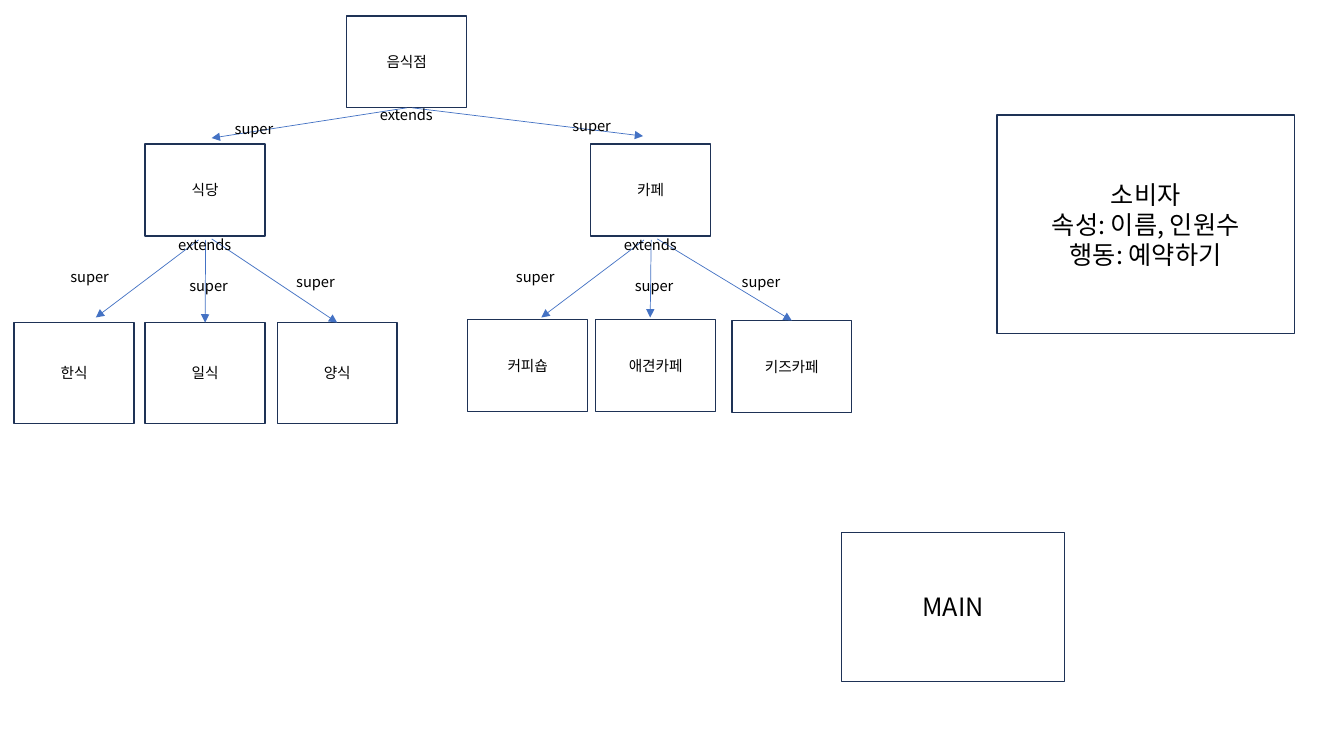
from dataclasses import dataclass
from typing import Optional

from lxml.etree import SubElement
from pptx import Presentation
from pptx.dml.color import RGBColor
from pptx.enum.shapes import MSO_CONNECTOR as Connector, MSO_SHAPE as Preset
from pptx.enum.text import MSO_ANCHOR as Anchor, PP_ALIGN as Align
from pptx.oxml.ns import qn
from pptx.shapes.autoshape import Shape
from pptx.slide import Slide
from pptx.text.text import TextFrame
from pptx.util import Inches, Pt

CELL = Inches(0.1)  # one grid column or row
PAGE_COLUMNS, PAGE_ROWS = 133.33, 75
BOX_COLUMNS, BOX_ROWS = 11.9, 9.1
LABEL_ROWS = 2.3
LABEL_COLUMNS = {"extends": 7.3, "super": 6.2}

FONT = "Noto Sans CJK KR"
SMALL, LARGE = 10.5, 18
BLACK = RGBColor(0x00, 0x00, 0x00)
WHITE = RGBColor(0xFF, 0xFF, 0xFF)
NAVY = RGBColor(0x1E, 0x32, 0x56)
BLUE = RGBColor(0x44, 0x72, 0xC4)
TOP, BOTTOM = 0, 2


@dataclass(frozen=True)
class Box:
    text: str
    column: float
    row: float
    columns: float = BOX_COLUMNS
    rows: float = BOX_ROWS
    size: float = SMALL


@dataclass(frozen=True)
class Arrow:
    """An arrow between grid points, joined to the boxes it names."""
    start: tuple[float, float]
    end: tuple[float, float]
    source: Optional[str] = None
    target: Optional[str] = None


@dataclass(frozen=True)
class Label:
    text: str
    column: float
    row: float


@dataclass(frozen=True)
class Branch:
    """A class whose three arrows lead to its subclasses."""
    parent: Box
    children: tuple[Box, Box, Box]
    tips: tuple[tuple[float, float], ...]
    targets: tuple[Optional[str], ...]


ROOT = Box("음식점", 34.4, 1.6)
BRANCHES = (
    Branch(
        Box("식당", 14.4, 14.3),
        (Box("한식", 1.4, 32, rows=10), Box("일식", 14.4, 32, rows=10),
         Box("양식", 27.5, 32, rows=10)),
        ((9.5, 31.5), (20.4, 32), (33.5, 32)),
        (None, "일식", "양식"),
    ),
    Branch(
        Box("카페", 58.6, 14.3),
        (Box("커피숍", 46.4, 31.7), Box("애견카페", 59.1, 31.7),
         Box("키즈카페", 72.6, 31.8)),
        ((53.7, 31.5), (64.5, 31.5), (78.5, 31.8)),
        (None, None, "키즈카페"),
    ),
)
# Offsets from the top left corner of a branch's parent box
ARROW_STARTS = ((5.3, 9.5), (6, 9.5), (6.6, 9.4))
BRANCH_LABELS = (Label("extends", 2.3, 8.6), Label("super", -8.4, 11.8),
                 Label("super", 3.4, 12.7), Label("super", 14, 12.3))

ROOT_ARROWS = (Arrow((40.9, 10.7), (63.8, 13.5)),
               Arrow((40.4, 10.7), (21, 13.7), source="음식점"))
ROOT_LABELS = (Label("extends", 36.7, 10), Label("super", 22.3, 11.4),
               Label("super", 55.8, 11.1))
SEPARATE_BOXES = (
    Box("소비자\v속성: 이름, 인원수\n행동: 예약하기", 98.9, 11.4, 29.5, 21.7, LARGE),
    Box("MAIN", 83.5, 52.8, 22.1, 14.8, LARGE),
)


def grid(*cells: float) -> list[int]:
    return [round(cell * CELL) for cell in cells]


def write(frame: TextFrame, text: str, size: float, align: Align) -> None:
    frame.text = text
    for para in frame.paragraphs:
        para.alignment = align
        para.font.name = FONT
        para.font.size = Pt(size)
        para.font.color.rgb = BLACK
        properties = para.font._element
        SubElement(properties, qn("a:ea")).set("typeface", FONT)


def draw_box(page: Slide, box: Box) -> Shape:
    shape = page.shapes.add_shape(
        Preset.RECTANGLE, *grid(box.column, box.row, box.columns, box.rows))
    shape.shadow.inherit = False
    shape.fill.solid()
    shape.fill.fore_color.rgb = WHITE
    shape.line.color.rgb = NAVY
    shape.line.width = Pt(1)
    shape.text_frame.vertical_anchor = Anchor.MIDDLE
    write(shape.text_frame, box.text, box.size, Align.CENTER)
    return shape


def draw_arrow(page: Slide, arrow: Arrow, shapes: dict[str, Shape]) -> None:
    line = page.shapes.add_connector(
        Connector.STRAIGHT, *grid(*arrow.start, *arrow.end))
    if arrow.source:
        line.begin_connect(shapes[arrow.source], BOTTOM)
    if arrow.target:
        line.end_connect(shapes[arrow.target], TOP)
    line.line.color.rgb = BLUE
    line.line.width = Pt(0.5)
    SubElement(line.line._get_or_add_ln(), qn("a:tailEnd")).set("type", "triangle")
    SubElement(line._element.spPr, qn("a:effectLst"))


def draw_label(page: Slide, label: Label) -> None:
    text_box = page.shapes.add_textbox(
        *grid(label.column, label.row, LABEL_COLUMNS[label.text], LABEL_ROWS))
    text_box.text_frame.word_wrap = True
    write(text_box.text_frame, label.text, SMALL, Align.LEFT)


def branch_arrows(branch: Branch) -> list[Arrow]:
    left, top = branch.parent.column, branch.parent.row
    return [Arrow((left + x, top + y), tip, target=target)
            for (x, y), tip, target in zip(ARROW_STARTS, branch.tips, branch.targets)]


def branch_labels(branch: Branch) -> list[Label]:
    left, top = branch.parent.column, branch.parent.row
    return [Label(label.text, left + label.column, top + label.row)
            for label in BRANCH_LABELS]


def main() -> None:
    deck = Presentation()
    deck.slide_width, deck.slide_height = grid(PAGE_COLUMNS, PAGE_ROWS)
    page = deck.slides.add_slide(deck.slide_layouts[6])

    boxes, arrows, labels = [ROOT], [*ROOT_ARROWS], [*ROOT_LABELS]
    for branch in BRANCHES:
        boxes += [branch.parent, *branch.children]
        arrows += branch_arrows(branch)
        labels += branch_labels(branch)

    shapes = {box.text: draw_box(page, box) for box in boxes}
    for arrow in arrows:
        draw_arrow(page, arrow, shapes)
    for label in labels:
        draw_label(page, label)
    for box in SEPARATE_BOXES:
        draw_box(page, box)

    deck.save("out.pptx")


if __name__ == "__main__":
    main()
